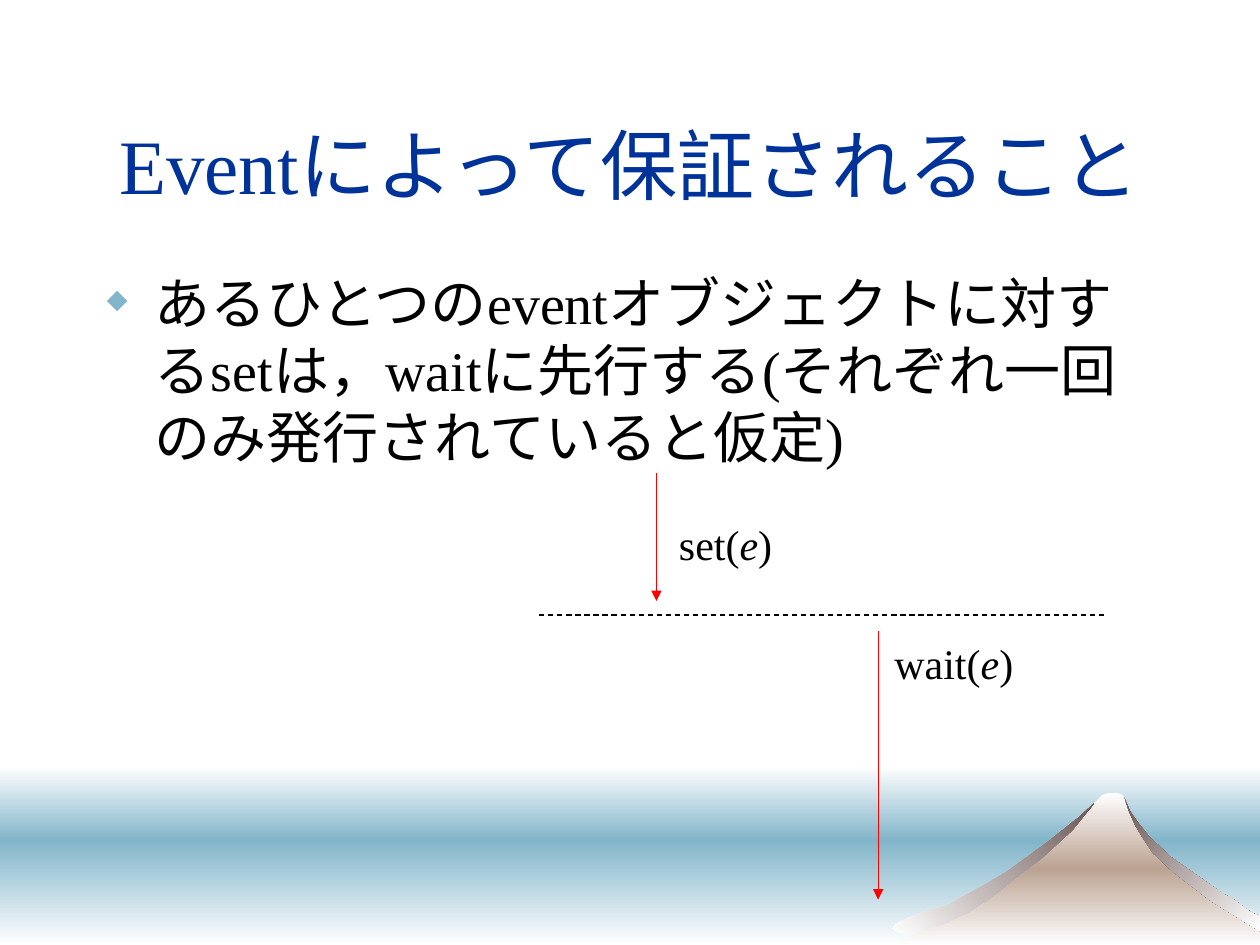
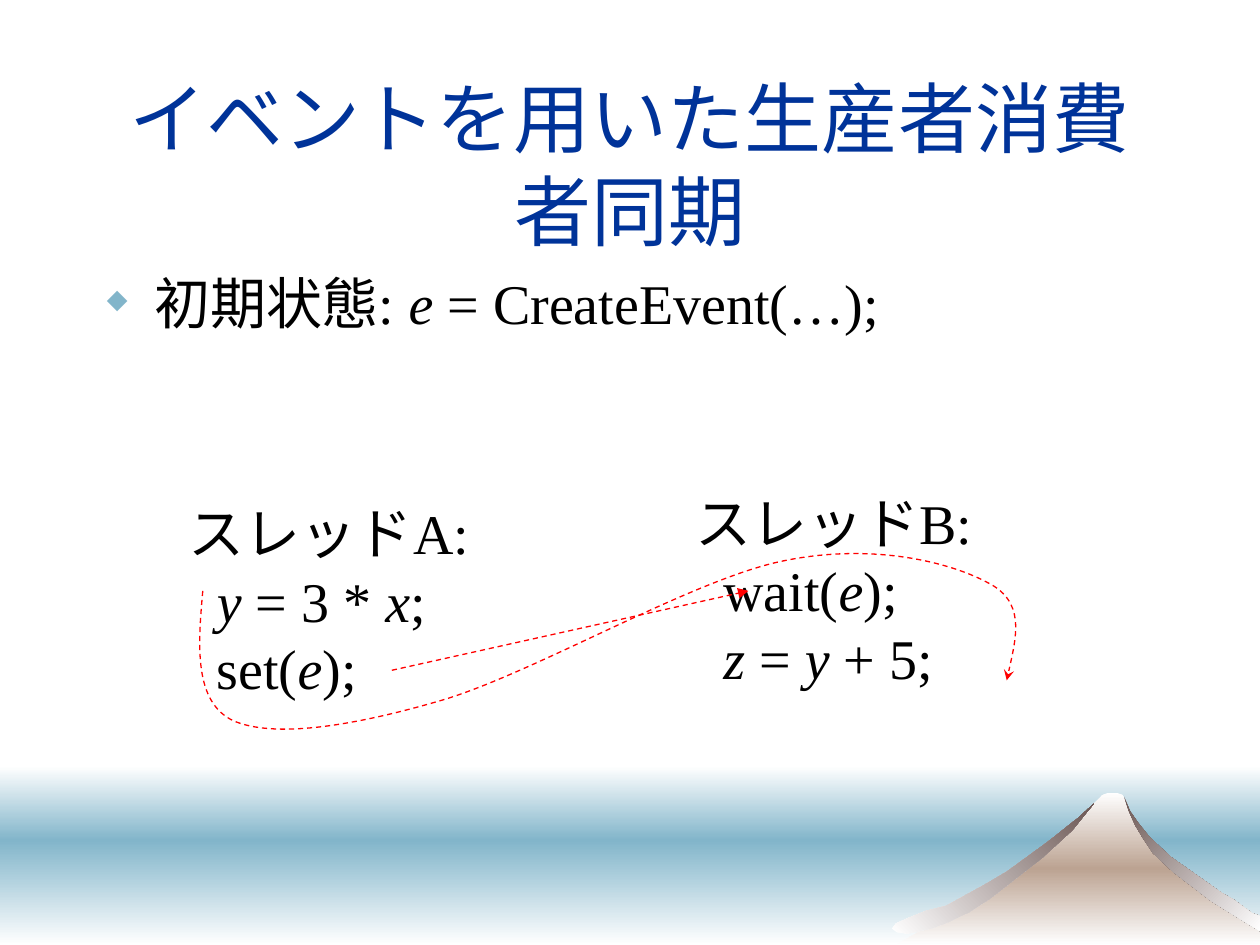
from dataclasses import dataclass

from lxml.etree import SubElement
from pptx import Presentation
from pptx.dml.color import RGBColor
from pptx.enum.dml import MSO_LINE
from pptx.enum.shapes import MSO_CONNECTOR, MSO_SHAPE
from pptx.enum.text import MSO_ANCHOR, PP_ALIGN
from pptx.oxml.ns import qn
from pptx.util import Inches, Pt


@dataclass(frozen=True)
class Theme:
    title: str = "003399"
    text: str = "000000"
    arrow: str = "FF0000"
    sea: str = "82B5CA"
    snow: str = "FFFFFF"
    earth: str = "BCA392"
    ridge: str = "6B5653"
    font: str = "Times New Roman"
    thread_font: str = "Arial"
    title_size: int = 44
    body_size: int = 32
    label_size: int = 24
    bullet_percent: int = 48
    line_width: float = 0.75


THEME = Theme()
COLUMNS, ROWS = 10, 7.5
CELL = Inches(1)
MARGIN = 0.75
CONTENT_WIDTH = COLUMNS - 2 * MARGIN
HORIZON = 6.67
SEA_TOP = 6.08

MOUNTAIN = [
    (7.11, 7.5), (7.9, 7.05), (8.4, 6.66), (8.69, 6.37), (8.75, 6.31),
    (8.8, 6.29), (8.86, 6.29), (8.91, 6.31), (9.03, 6.57), (9.22, 6.8),
    (9.68, 7.12), (10, 7.33), (10, 7.5),
]
RIGHT_RIDGE = [
    (9.15, 6.77), (9.31, 6.92), (9.48, 7.05), (9.61, 7.15), (9.9, 7.33),
    (10, 7.39), (10, 7.27), (9.94, 7.25), (9.79, 7.14), (9.7, 7.09),
    (9.29, 6.8), (9.12, 6.64), (9.04, 6.54), (8.97, 6.44), (8.92, 6.32),
    (8.96, 6.44), (9.01, 6.55), (9.07, 6.65),
]
LEFT_RIDGE = [
    (8.32, 6.68), (7.99, 6.92), (7.82, 7.02), (7.51, 7.19), (7.35, 7.23),
    (7.2, 7.29), (7.11, 7.33), (7.08, 7.37), (7.12, 7.4), (7.2, 7.41),
    (7.3, 7.39), (7.39, 7.37), (7.5, 7.33), (7.69, 7.24), (7.86, 7.13),
    (8.27, 6.81), (8.51, 6.59), (8.64, 6.43), (8.68, 6.38), (8.56, 6.49),
]
DATA_FLOW = [
    (1.61, 4.69),
    (1.57, 5.13), (1.54, 5.57), (1.85, 5.72),
    (2.17, 5.86), (2.78, 5.77), (3.5, 5.56),
    (4.22, 5.35), (5.46, 4.62), (6.18, 4.46),
    (6.9, 4.3), (7.53, 4.46), (7.83, 4.62),
    (8.14, 4.77), (8.06, 5.09), (7.99, 5.4),
]


def grid(*cells):
    return [round(cell * CELL) for cell in cells]


def rgb(color):
    return RGBColor.from_string(color)


def fill_gradient(shape, colors, angle):
    shape.shadow.inherit = False
    shape.line.fill.background()
    shape.fill.gradient()
    shape.fill.gradient_angle = 360 - angle
    stops = shape._element.spPr.find(".//" + qn("a:gsLst"))
    stops.clear()
    for index, color in enumerate(colors):
        position = 100000 * index // (len(colors) - 1)
        stop = SubElement(stops, qn("a:gs"), pos=str(position))
        SubElement(stop, qn("a:srgbClr"), val=color)


def add_outline(shapes, points, close):
    start, *others = [grid(*point) for point in points]
    builder = shapes.build_freeform(*start)
    builder.add_line_segments(others, close=close)
    return builder.convert_to_shape()


def add_scenery(slide):
    shapes = slide.shapes.add_group_shape().shapes
    bands = [
        (SEA_TOP, HORIZON, (THEME.snow, THEME.sea)),
        (HORIZON, ROWS, (THEME.sea, THEME.snow)),
    ]
    for top, bottom, colors in bands:
        band = shapes.add_shape(MSO_SHAPE.RECTANGLE, *grid(0, top, COLUMNS, bottom - top))
        fill_gradient(band, colors, 90)
    outlines = [
        (MOUNTAIN, (THEME.snow, THEME.earth, THEME.snow), 90),
        (RIGHT_RIDGE, (THEME.ridge, THEME.snow), 45),
        (LEFT_RIDGE, (THEME.snow, THEME.ridge), 315),
    ]
    for points, colors, angle in outlines:
        fill_gradient(add_outline(shapes, points, True), colors, angle)


def add_run(paragraph, text, size, color, font=THEME.font, italic=False):
    run = paragraph.add_run()
    run.text = text
    run.font.name = font
    run.font.size = Pt(size)
    run.font.italic = italic
    run.font.color.rgb = rgb(color)


def add_text(slide, cells, lines, size, color=THEME.text, wrap=False):
    frame = slide.shapes.add_textbox(*grid(*cells)).text_frame
    frame.word_wrap = wrap
    for index, line in enumerate(lines):
        paragraph = frame.add_paragraph() if index else frame.paragraphs[0]
        for position, part in enumerate(line.split("_")):
            if part:
                add_run(paragraph, part, size, color, italic=position % 2 == 1)
    return frame


def add_title(slide, text):
    cells = (MARGIN, 0.67, CONTENT_WIDTH, 1.25)
    frame = add_text(slide, cells, [text], THEME.title_size, THEME.title, wrap=True)
    frame.vertical_anchor = MSO_ANCHOR.MIDDLE
    frame.paragraphs[0].alignment = PP_ALIGN.CENTER


def add_bullet(slide, text):
    cells = (MARGIN, 2.08, CONTENT_WIDTH, 4.5)
    frame = add_text(slide, cells, [text], THEME.body_size, wrap=True)
    properties = frame.paragraphs[0]._p.get_or_add_pPr()
    indent, = grid(0.38)
    properties.set("marL", str(indent))
    properties.set("indent", str(-indent))
    bullet_color = SubElement(properties, qn("a:buClr"))
    SubElement(bullet_color, qn("a:srgbClr"), val=THEME.sea)
    SubElement(properties, qn("a:buSzPct"), val=str(THEME.bullet_percent * 1000))
    SubElement(properties, qn("a:buChar"), char="◆")


def add_label(slide, left, top, text):
    add_text(slide, (left, top, 1.4, 0.5), [text], THEME.label_size)


def add_thread(slide, left, top, name, code):
    frame = add_text(slide, (left, top, 3, 1.7), ["", *code], THEME.body_size)
    heading = frame.paragraphs[0]
    add_run(heading, "スレッド", THEME.body_size, THEME.text, THEME.thread_font)
    add_run(heading, name, THEME.body_size, THEME.text)


def style_line(shape, color, dashed, arrowhead):
    shape.line.color.rgb = rgb(color)
    shape.line.width = Pt(THEME.line_width)
    if dashed:
        shape.line.dash_style = MSO_LINE.DASH
    if arrowhead:
        outline = shape._element.spPr.find(qn("a:ln"))
        SubElement(outline, qn("a:tailEnd"), type=arrowhead)


def add_line(slide, start, end, color=THEME.arrow, dashed=False, arrowhead="triangle"):
    line = slide.shapes.add_connector(MSO_CONNECTOR.STRAIGHT, *grid(*start, *end))
    style_line(line, color, dashed, arrowhead)
    SubElement(line._element.spPr, qn("a:effectLst"))


def add_curve(slide, points):
    curve = add_outline(slide.shapes, points, False)
    curve.shadow.inherit = False
    curve.fill.background()
    style_line(curve, THEME.arrow, True, "stealth")
    outline = curve._element.spPr.find(".//" + qn("a:path"))
    segments = outline.findall(qn("a:lnTo"))
    for first in range(0, len(segments), 3):
        bezier = SubElement(outline, qn("a:cubicBezTo"))
        for segment in segments[first:first + 3]:
            bezier.append(segment[0])
            outline.remove(segment)


def add_slide(presentation, title, bullet):
    slide = presentation.slides.add_slide(presentation.slide_layouts[6])
    add_scenery(slide)
    add_title(slide, title)
    add_bullet(slide, bullet)
    return slide


def add_guarantee_slide(presentation):
    slide = add_slide(
        presentation,
        "Eventによって保証されること",
        "あるひとつのeventオブジェクトに対するsetは，waitに先行する"
        "(それぞれ一回のみ発行されていると仮定)",
    )
    add_label(slide, 5.29, 4.07, "set(_e_)")
    add_label(slide, 7, 5.01, "wait(_e_)")
    add_line(slide, (4.28, 4.88), (8.78, 4.88), THEME.text, dashed=True, arrowhead=None)
    add_line(slide, (6.97, 5.01), (6.97, 7.14))
    add_line(slide, (5.21, 3.75), (5.21, 4.77))


def add_synchronization_slide(presentation):
    slide = add_slide(
        presentation,
        "イベントを用いた生産者消費者同期",
        "初期状態: _e_ = CreateEvent(…);",
    )
    add_thread(slide, 1.4, 3.91, "A:", ["_  y_ = 3 * _x_;", "  set(_e_);"])
    add_thread(slide, 5.42, 3.83, "B:", ["  wait(_e_);", "_  z_ = _y_ + 5;"])
    add_line(slide, (3.11, 5.32), (5.94, 4.69), dashed=True)
    add_curve(slide, DATA_FLOW)


def main():
    presentation = Presentation()
    presentation.slide_width, presentation.slide_height = grid(COLUMNS, ROWS)
    add_guarantee_slide(presentation)
    add_synchronization_slide(presentation)
    presentation.save("out.pptx")


if __name__ == "__main__":
    main()
